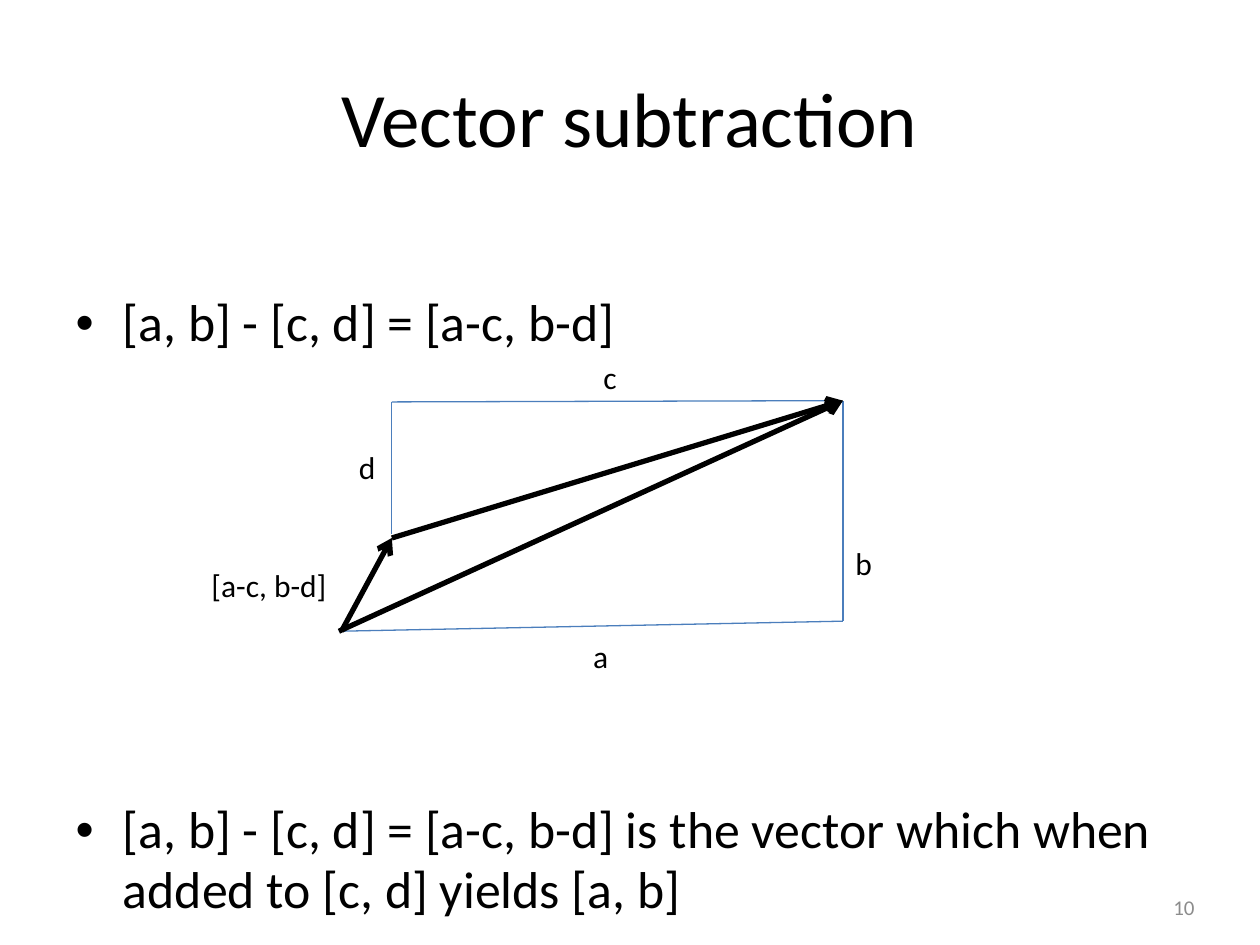
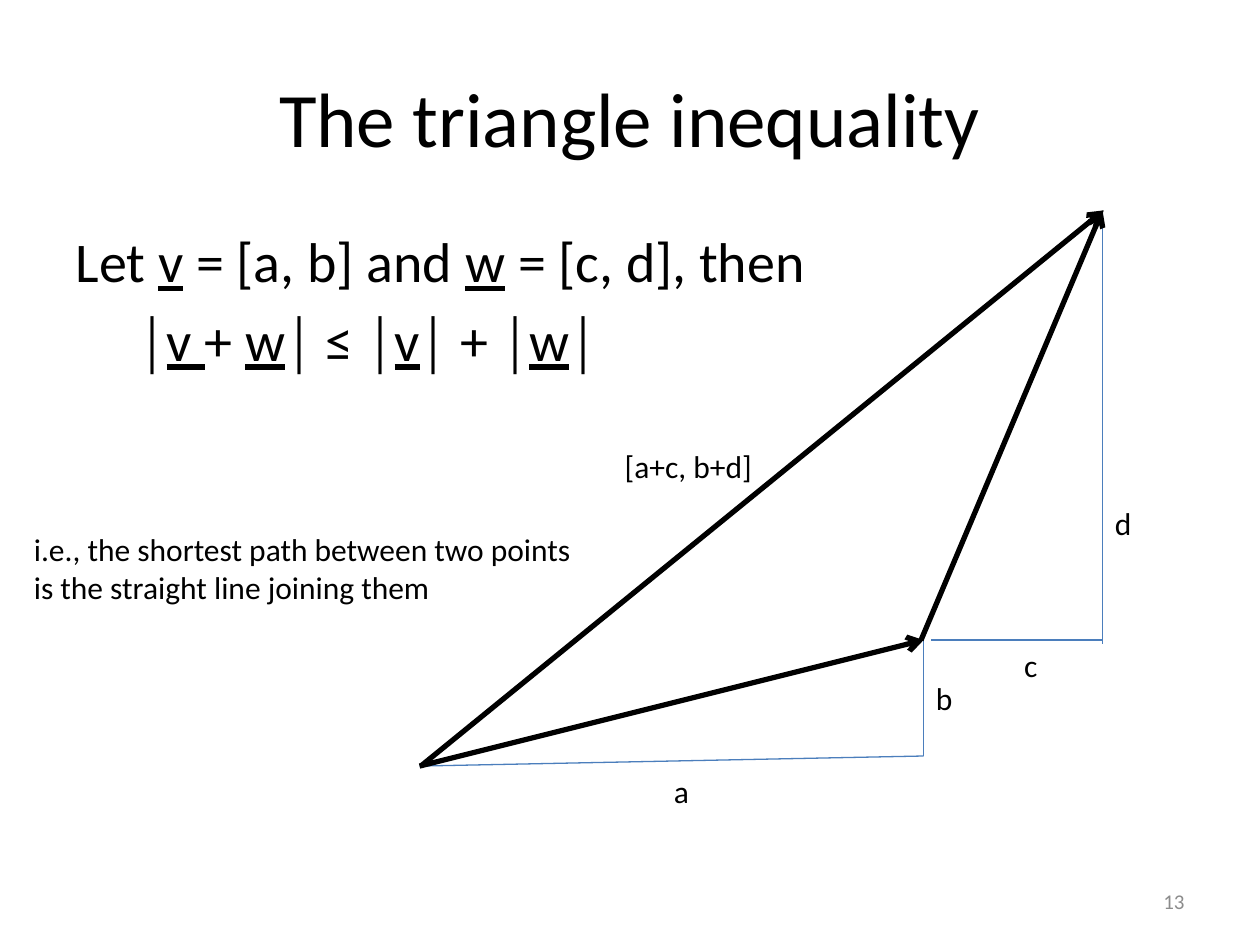
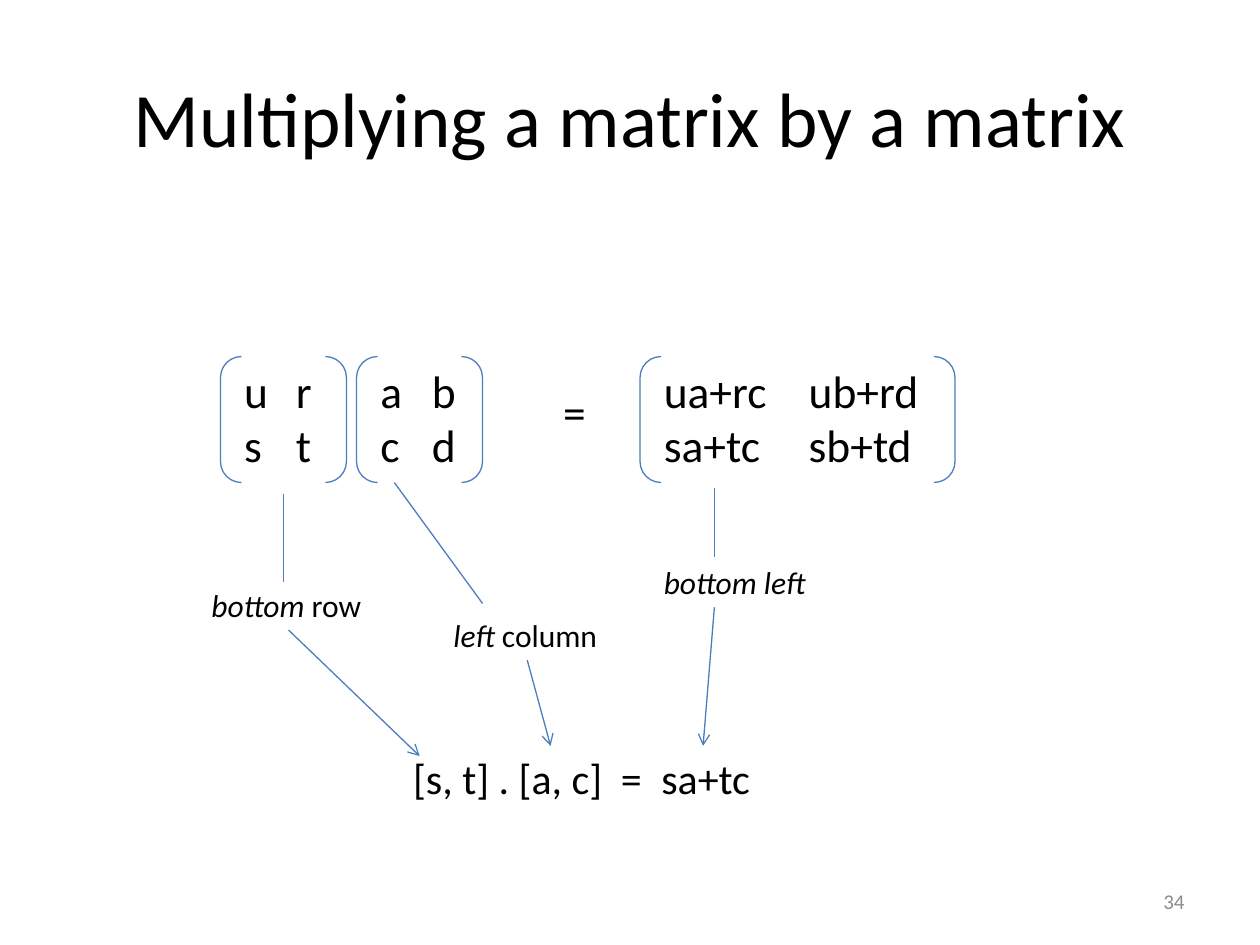
import pptx
import pptx.dml.color
import pptx.enum.shapes
import pptx.enum.text
import pptx.oxml.ns
import pptx.util
from lxml import etree
from pptx.util import Inches

FONT = "Calibri"
BLACK, BLUE, GREY = "000000", "4B7EBC", "8C8C8C"
THIN, THICK = 0.75, 3
LABEL_HEIGHT = 0.4
BOTTOM = 2
ALIGN = pptx.enum.text.PP_ALIGN
ANCHOR = pptx.enum.text.MSO_ANCHOR


def rgb(value):
    return pptx.dml.color.RGBColor.from_string(value)


def add_xml(parent, tag, **attributes):
    return etree.SubElement(parent, pptx.oxml.ns.qn(tag), attributes)


def write(frame, paragraphs, size=18, color=BLACK, align=ALIGN.LEFT, anchor=ANCHOR.TOP,
          wrap=True, tabs=(), bullets=True, gap=None, spacing=None):
    """Fill a frame; a paragraph is a string or a list of strings and (text, style) pairs."""
    frame.word_wrap = wrap
    frame.auto_size = pptx.enum.text.MSO_AUTO_SIZE.NONE
    frame.vertical_anchor = anchor
    for index, content in enumerate(paragraphs):
        para = frame.add_paragraph() if index else frame.paragraphs[0]
        properties = para._p.get_or_add_pPr()
        if not bullets:
            properties.set("marL", "0")
            properties.set("indent", "0")
            add_xml(properties, "a:buNone")
        if tabs:
            stops = add_xml(properties, "a:tabLst")
            for stop in tabs:
                add_xml(stops, "a:tab", pos=str(Inches(stop)), algn="l")
        para.alignment = align
        para.line_spacing = spacing
        if index == 0:
            para.space_before = pptx.util.Pt(0)
        elif gap is not None:
            para.space_before = pptx.util.Pt(gap)
        for part in [content] if isinstance(content, str) else content:
            text, style = (part, {}) if isinstance(part, str) else part
            span = para.add_run()
            span.text = text
            span.font.name = FONT
            span.font.size = pptx.util.Pt(size)
            span.font.color.rgb = rgb(color)
            for name, value in style.items():
                setattr(span.font, name, value)


def add_text(slide, left, top, width, height, paragraphs, **style):
    box = slide.shapes.add_textbox(Inches(left), Inches(top), Inches(width), Inches(height))
    write(box.text_frame, paragraphs, **style)
    return box


def add_label(slide, left, top, width, content):
    return add_text(slide, left, top, width, LABEL_HEIGHT, [content], wrap=False)


def add_line(slide, start, end, color=BLUE, weight=THIN, arrow=False):
    line = slide.shapes.add_connector(pptx.enum.shapes.MSO_CONNECTOR.STRAIGHT,
                                      *(Inches(value) for value in (*start, *end)))
    line.line.color.rgb = rgb(color)
    line.line.width = pptx.util.Pt(weight)
    if arrow:
        add_xml(line.line._get_or_add_ln(), "a:tailEnd", type="arrow")
    add_xml(line._element.spPr, "a:effectLst")
    return line


def add_slide(deck, layout, title, number, number_at=(7.17, 6.95)):
    slide = deck.slides.add_slide(deck.slide_layouts.get_by_name(layout))
    write(slide.shapes.title.text_frame, [title], size=44, align=ALIGN.CENTER,
          anchor=ANCHOR.MIDDLE)
    add_text(slide, *number_at, 2.33, LABEL_HEIGHT, [number], size=12, color=GREY,
             align=ALIGN.RIGHT, anchor=ANCHOR.MIDDLE)
    return slide


def place_body(slide, left, top, width, height, paragraphs, **style):
    body = slide.placeholders[1]
    body.left, body.top = Inches(left), Inches(top)
    body.width, body.height = Inches(width), Inches(height)
    write(body.text_frame, paragraphs, **style)


def draw_vectors(slide, left, top, vectors, sides, labels):
    """Draw thick arrows, thin component lines and labels measured from the box corner."""
    def at(point):
        return left + point[0], top + point[1]

    for start, end in sides:
        add_line(slide, at(start), at(end))
    for start, end in vectors:
        add_line(slide, at(start), at(end), BLACK, THICK, arrow=True)
    for text, x, y, width in labels:
        add_label(slide, *at((x, y)), width, text)


def subtraction_slide(deck):
    slide = add_slide(deck, "Title and Content", "Vector subtraction", "10", (7.25, 7))
    place_body(slide, 0.5, 2.28, 9, 5,
               ["[a, b] - [c, d] = [a-c, b-d]",
                "[a, b] - [c, d] = [a-c, b-d] is the vector which when added to [c, d] "
                "yields [a, b]"],
               size=29.6, gap=255, spacing=0.97)
    origin, middle, tip = (0, 1.83), (0.42, 1.09), (4, 0)
    corner, elbow = (4, 1.75), (0.42, 0.01)
    draw_vectors(
        slide, 2.69, 3.18,
        vectors=[(origin, tip), (middle, tip), ((0.02, 1.83), middle)],
        sides=[(origin, corner), (corner, tip), (elbow, (3.91, 0)), (elbow, (0.42, 1.06))],
        labels=[("a", 1.92, 1.83, 0.32), ("b", 4, 1.09, 0.34), ("c", 2, -0.39, 0.31),
                ("d", 0.06, 0.33, 0.34), ("[a-c, b-d]", -1.11, 1.26, 1.13)])


def triangle_slide(deck):
    slide = add_slide(deck, "Title and Content", "The triangle inequality", "13")
    v, w = (("v", {"underline": True}), ("w", {"underline": True}))
    place_body(slide, 0.5, 1.75, 9, 4.95,
               [["Let ", v, " = [a, b] and ", w, " = [c, d], then"],
                ["\t│", ("v ", {"underline": True}), "+ ", w, "│ ≤ │", v, "│ + │", w, "│"]],
               size=32, bullets=False)
    origin, middle, tip = (0, 4.41), (4, 3.41), (5.42, 0)
    corner = (4, 4.33)
    draw_vectors(
        slide, 3.33, 1.67,
        vectors=[(origin, middle), ((3.98, 3.41), tip), ((0.01, 4.41), (5.43, 0))],
        sides=[(origin, corner), (corner, middle), ((4.06, 3.41), (5.42, 3.41)),
               ((5.42, 0.08), (5.42, 3.44))],
        labels=[("a", 1.92, 4.41, 0.32), ("b", 4, 3.67, 0.34), ("c", 4.7, 3.41, 0.31),
                ("d", 5.42, 2.28, 0.34), ("[a+c, b+d]", 1.53, 1.83, 1.22)])
    add_text(slide, 0.17, 4.16, 4.51, 0.71,
             ["i.e., the shortest path between two points",
              "is the straight line joining them"], wrap=False)


def draw_matrix(slide, left, top, width, rows, column):
    """Draw a bracketed two-column matrix whose second column starts at a tab stop."""
    bracket = slide.shapes.add_shape(pptx.enum.shapes.MSO_SHAPE.DOUBLE_BRACKET, Inches(left),
                                     Inches(top), Inches(width), Inches(1))
    bracket.shadow.inherit = False
    bracket.fill.background()
    bracket.line.color.rgb = rgb(BLUE)
    bracket.line.width = pptx.util.Pt(THIN)
    add_text(slide, left + 0.09, top, width + 0.7, 0.98, ["\t".join(row) for row in rows],
             size=26, tabs=[column])


def draw_explanation(slide, left, top):
    """Link the matrices to the product of one row and one column."""
    def at(x, y):
        return left + x, top + y

    italic = {"italic": True}
    row = add_label(slide, *at(0, 0.77), 1.42, [("bottom", italic), " row"])
    column = add_label(slide, *at(1.92, 1.01), 1.37, [("left", italic), " column"])
    add_label(slide, *at(3.59, 0.59), 1.37, [("bottom left", italic)])
    add_text(slide, *at(1.6, 2.09), 2.97, 0.81, ["[s, t] . [a, c]\t=\tsa+tc"], size=24,
             tabs=[1.65, 1.97])
    for start, end in [((0.67, 0.09), (0.67, 0.79)), ((4.09, 0.04), (4.09, 0.59)),
                       ((1.55, 0), (2.25, 0.96))]:
        add_line(slide, at(*start), at(*end))
    for box, start, end in [(row, (0.71, 1.17), (1.75, 2.17)),
                            (column, (2.6, 1.41), (2.79, 2.09)),
                            (None, (4.09, 0.99), (4, 2.09))]:
        line = add_line(slide, at(*start), at(*end), arrow=True)
        if box is not None:
            line.begin_connect(box, BOTTOM)


def matrix_slide(deck):
    slide = add_slide(deck, "Title Only", "Multiplying a matrix by a matrix", "34")
    top = 2.83
    draw_matrix(slide, 1.75, top, 1, [("u", "r"), ("s", "t")], 0.41)
    draw_matrix(slide, 2.83, top, 1, [("a", "b"), ("c", "d")], 0.41)
    draw_matrix(slide, 5.08, top, 2.5, [("ua+rc", "ub+rd"), ("sa+tc", "sb+td")], 1.15)
    add_text(slide, 4.37, 3, 0.38, 0.54, ["="], size=26, wrap=False)
    draw_explanation(slide, 1.58, top + 1)


def main():
    deck = pptx.Presentation()
    deck.slide_width, deck.slide_height = Inches(10), Inches(7.5)
    subtraction_slide(deck)
    triangle_slide(deck)
    matrix_slide(deck)
    deck.save("out.pptx")


if __name__ == "__main__":
    main()
